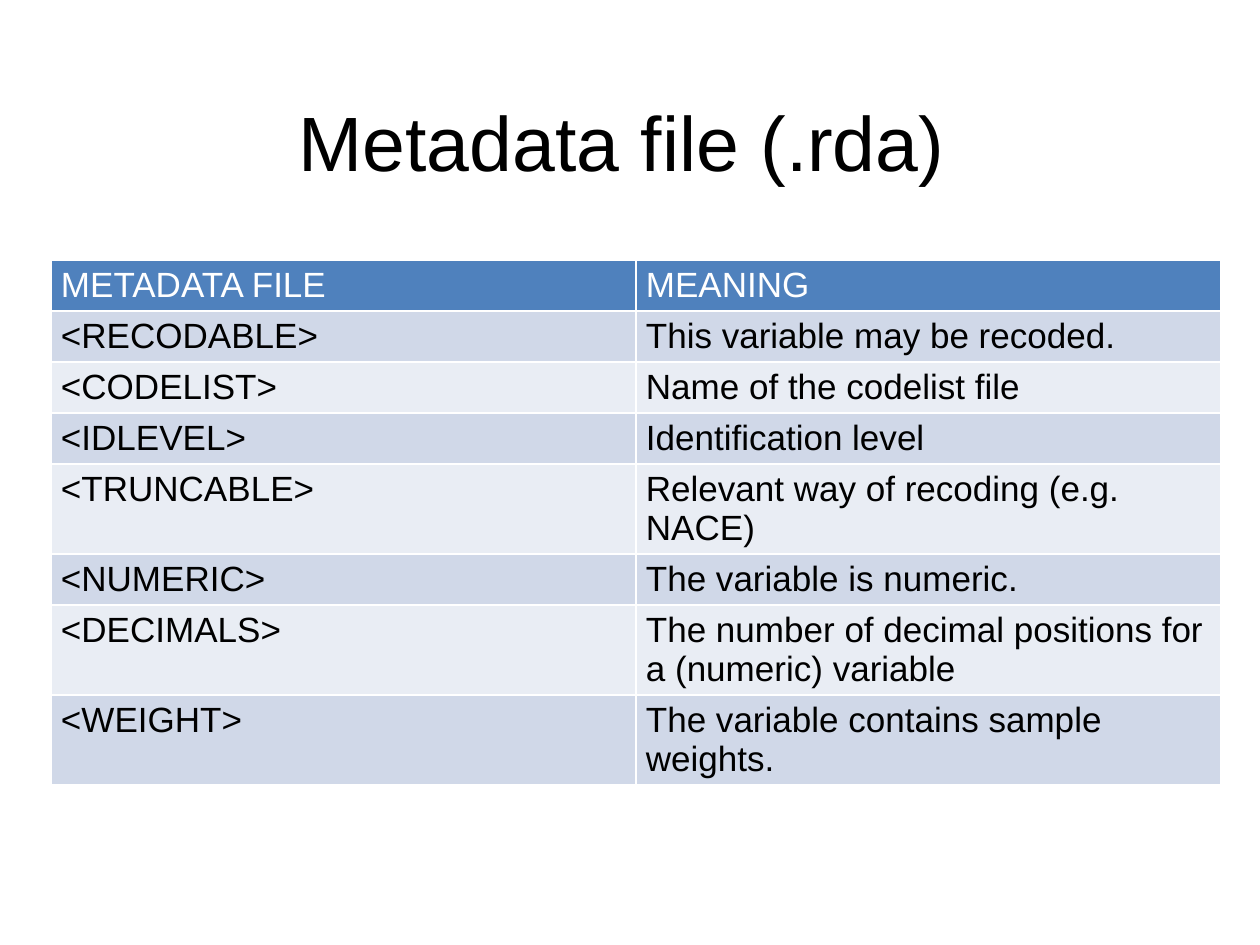
from dataclasses import dataclass

from pptx import Presentation
from pptx.dml.color import RGBColor
from pptx.enum.text import MSO_ANCHOR, PP_ALIGN
from pptx.util import Pt

TITLE = "Metadata file (.rda)"
ROWS = [
    ("METADATA FILE", "MEANING"),
    ("<RECODABLE>", "This variable may be recoded."),
    ("<CODELIST>", "Name of the codelist file"),
    ("<IDLEVEL>", "Identification level"),
    ("<TRUNCABLE>", "Relevant way of recoding (e.g. NACE)"),
    ("<NUMERIC>", "The variable is numeric."),
    ("<DECIMALS>", "The number of decimal positions for a (numeric) variable"),
    ("<WEIGHT>", "The variable contains sample weights."),
]

PX = 914400 // 126
PAGE_SIZE = (1260, 945)
TITLE_BOX = (55, 62, 1134, 157)
TABLE_LEFT, TABLE_TOP = 51, 260
COLUMN_WIDTH, ROW_HEIGHT = 585, 51
CELL_MARGIN_X, CELL_MARGIN_Y = 10, 6


@dataclass(frozen=True)
class Theme:
    font: str = "Arial"
    title_size: int = 44
    cell_size: int = 20
    text: str = "000000"
    header_text: str = "FFFFFF"
    header_fill: str = "4F81BD"
    bands: tuple = ("D0D8E8", "E9EDF4")


THEME = Theme()


def px(*lengths):
    return [length * PX for length in lengths]


def style_text(frame, size, color):
    for para in frame.paragraphs:
        for span in para.runs:
            span.font.name = THEME.font
            span.font.size = Pt(size)
            span.font.bold = False
            span.font.color.rgb = RGBColor.from_string(color)


def add_title(page):
    title = page.shapes.title
    title.left, title.top, title.width, title.height = px(*TITLE_BOX)
    frame = title.text_frame
    frame.text = TITLE
    frame.vertical_anchor = MSO_ANCHOR.MIDDLE
    frame.paragraphs[0].alignment = PP_ALIGN.CENTER
    style_text(frame, THEME.title_size, THEME.text)


def fill_cell(cell, text, fill, color):
    cell.text_frame.text = text
    cell.fill.solid()
    cell.fill.fore_color.rgb = RGBColor.from_string(fill)
    cell.margin_left, cell.margin_right = px(CELL_MARGIN_X, CELL_MARGIN_X)
    cell.margin_top, cell.margin_bottom = px(CELL_MARGIN_Y, CELL_MARGIN_Y)
    style_text(cell.text_frame, THEME.cell_size, color)


def add_metadata_table(page):
    """Rows grow to fit their text; the default table style draws white borders."""
    row_count, column_count = len(ROWS), len(ROWS[0])
    area = px(TABLE_LEFT, TABLE_TOP,
              COLUMN_WIDTH * column_count, ROW_HEIGHT * row_count)
    table = page.shapes.add_table(row_count, column_count, *area).table
    for r, row in enumerate(ROWS):
        if r == 0:
            fill, color = THEME.header_fill, THEME.header_text
        else:
            fill, color = THEME.bands[(r - 1) % 2], THEME.text
        for c, text in enumerate(row):
            fill_cell(table.cell(r, c), text, fill, color)


def main():
    deck = Presentation()
    deck.slide_width, deck.slide_height = px(*PAGE_SIZE)
    page = deck.slides.add_slide(deck.slide_layouts[5])
    add_title(page)
    add_metadata_table(page)
    deck.save("out.pptx")


if __name__ == "__main__":
    main()
